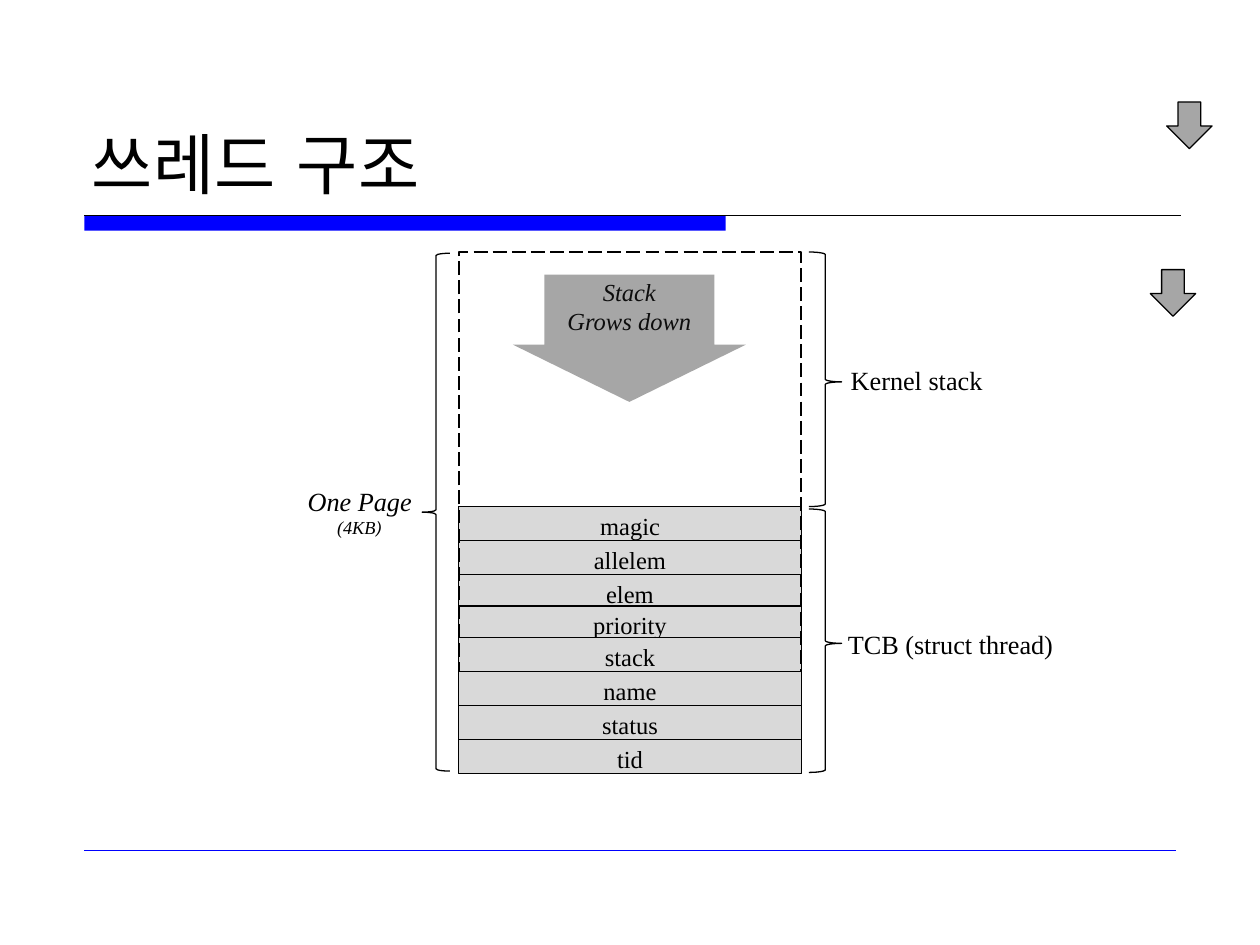
import pptx
import pptx.dml.color
import pptx.enum.dml
import pptx.enum.shapes
import pptx.enum.text
import pptx.oxml.ns
import pptx.util
from lxml import etree

Inches = pptx.util.Inches
Pt = pptx.util.Pt
SHAPES = pptx.enum.shapes.MSO_SHAPE
ALIGN = pptx.enum.text.PP_ALIGN
ANCHOR = pptx.enum.text.MSO_ANCHOR
AUTO_SIZE = pptx.enum.text.MSO_AUTO_SIZE

COLORS = {
    "black": "000000",
    "blue": "0000FF",
    "field": "D9D9D9",
    "arrow": "A6A6A6",
    "arrow text": "0D0D0D",
}
SERIF = "Times New Roman"
STACK_LEFT, STACK_WIDTH = 3.64, 2.72
FIELD_HEIGHT = 0.27
FIELDS = [("magic", 4.02), ("allelem", 4.29), ("elem", 4.56), ("priority", 4.81),
          ("stack", 5.06), ("name", 5.33), ("status", 5.6), ("tid", 5.87)]
FIELDS_BELOW_FRAME = 5


def rgb(name):
    return pptx.dml.color.RGBColor.from_string(COLORS[name])


def add_span(para, text, size, font=SERIF, color="black", italic=False):
    span = para.add_run()
    span.text = text
    span.font.size = Pt(size)
    span.font.name = font
    span.font.italic = italic
    span.font.color.rgb = rgb(color)
    return span


def write_lines(frame, lines, align, **style):
    """Each line is a list of (text, size, font) spans."""
    for index, spans in enumerate(lines):
        para = frame.paragraphs[0] if index == 0 else frame.add_paragraph()
        para.alignment = align
        for text, size, font in spans:
            add_span(para, text, size, font, **style)


def add_figure(page, kind, left, top, width, height, fill=None, line=None, weight=0.75):
    figure = page.shapes.add_shape(
        kind, Inches(left), Inches(top), Inches(width), Inches(height))
    figure.shadow.inherit = False
    if fill:
        figure.fill.solid()
        figure.fill.fore_color.rgb = rgb(fill)
    else:
        figure.fill.background()
    if line:
        figure.line.color.rgb = rgb(line)
        figure.line.width = Pt(weight)
    else:
        figure.line.fill.background()
    return figure


def add_rule(page, left, right, top, color, weight):
    rule = page.shapes.add_connector(
        pptx.enum.shapes.MSO_CONNECTOR.STRAIGHT,
        Inches(left), Inches(top), Inches(right), Inches(top))
    rule.line.color.rgb = rgb(color)
    rule.line.width = Pt(weight)
    etree.SubElement(rule._element.spPr, pptx.oxml.ns.qn("a:effectLst"))


def add_title(page, text):
    title = page.shapes.title
    title.left, title.top = Inches(0.63), Inches(0.33)
    title.width, title.height = Inches(8.75), Inches(1.33)
    frame = title.text_frame
    frame.auto_size = AUTO_SIZE.NONE
    frame.vertical_anchor = ANCHOR.BOTTOM
    frame.paragraphs[0].alignment = ALIGN.LEFT
    span = add_span(frame.paragraphs[0], text, 38, "DejaVu Sans")
    east_asian = etree.SubElement(span.font._element, pptx.oxml.ns.qn("a:ea"))
    east_asian.set("typeface", "DejaVu Sans")


def add_label(page, left, top, height, lines, align=ALIGN.CENTER, italic=False):
    box = page.shapes.add_textbox(Inches(left), Inches(top), Inches(2.05), Inches(height))
    box.text_frame.word_wrap = True
    box.text_frame.auto_size = AUTO_SIZE.SHAPE_TO_FIT_TEXT
    write_lines(box.text_frame, lines, align, italic=italic)


def add_field(page, name, top):
    field = add_figure(page, SHAPES.RECTANGLE, STACK_LEFT, top, STACK_WIDTH,
                       FIELD_HEIGHT, "field", "black")
    frame = field.text_frame
    frame.vertical_anchor = ANCHOR.MIDDLE
    frame.margin_top, frame.margin_bottom = Inches(0.03), 0
    write_lines(frame, [[(name, 14, SERIF)]], ALIGN.CENTER)


def add_growth_arrow(page):
    arrow = add_figure(page, SHAPES.DOWN_ARROW, 4.07, 2.18, 1.85, 1.01, "arrow")
    arrow.adjustments[0], arrow.adjustments[1] = 0.73, 0.45
    frame = arrow.text_frame
    frame.word_wrap = False
    frame.vertical_anchor = ANCHOR.MIDDLE
    frame.margin_top, frame.margin_bottom = Inches(0.02), Inches(0.2)
    write_lines(frame, [[("Stack", 14, SERIF)], [("Grows down", 14, SERIF)]],
                ALIGN.CENTER, color="arrow text", italic=True)


def add_right_brace(page, top, height):
    brace = add_figure(page, SHAPES.LEFT_BRACE, 6.42, top, 0.26, height, line="black")
    brace.rotation = 180
    brace.adjustments[0], brace.adjustments[1] = 0.08, 0.49


def main():
    deck = pptx.Presentation()
    deck.slide_width, deck.slide_height = Inches(10), Inches(7.5)
    page = deck.slides.add_slide(deck.slide_layouts[5])

    # Title and rules
    add_figure(page, SHAPES.RECTANGLE, 0.67, 1.71, 5.09, 0.12, "blue")
    add_rule(page, 0.67, 9.37, 1.71, "black", 0.75)
    add_rule(page, 0.67, 9.33, 6.75, "blue", 0.25)
    add_title(page, "쓰레드 구조")

    # Labels
    add_label(page, 6.25, 2.84, 0.35, [[("Kernel stack", 15, SERIF)]])
    add_label(page, 6.63, 4.94, 0.35, [[("TCB (struct thread)", 15, SERIF)]], ALIGN.LEFT)
    add_label(page, 1.83, 3.8, 0.53,
              [[("One Page", 15, SERIF)], [("(4KB", 10.5, SERIF), (")", 10.5, "Cambria")]],
              italic=True)

    # Memory page: the dashed frame lies between the upper and lower fields
    add_growth_arrow(page)
    for name, top in FIELDS[:FIELDS_BELOW_FRAME]:
        add_field(page, name, top)
    frame = add_figure(page, SHAPES.RECTANGLE, STACK_LEFT, 2, STACK_WIDTH, 4.13,
                       line="black", weight=1)
    frame.line.dash_style = pptx.enum.dml.MSO_LINE.LONG_DASH
    for name, top in FIELDS[FIELDS_BELOW_FRAME:]:
        add_field(page, name, top)

    # Braces
    add_figure(page, SHAPES.LEFT_BRACE, 3.35, 2.01, 0.22, 4.11, line="black")
    add_right_brace(page, 2, 2.02)
    add_right_brace(page, 4.04, 2.09)

    # Small arrows at the right edge
    for left, top in [(9.13, 2.14), (9.26, 0.81)]:
        add_figure(page, SHAPES.DOWN_ARROW, left, top, 0.36, 0.37, "arrow", "black")

    deck.save("out.pptx")


if __name__ == "__main__":
    main()
